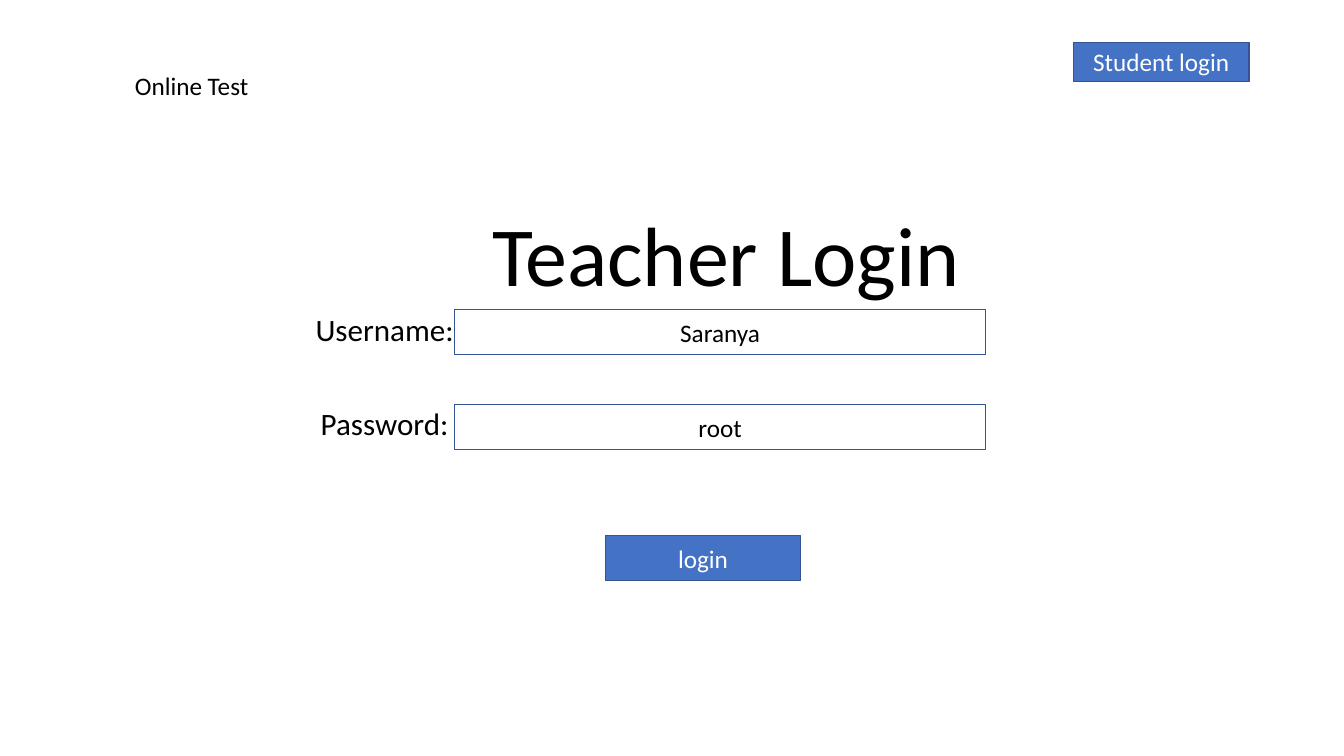
"""Build the teacher login slide of an online test."""
import pptx
import pptx.dml.color
import pptx.enum.shapes
import pptx.enum.text
import pptx.util

Pt = pptx.util.Pt
ALIGN = pptx.enum.text.PP_ALIGN
ANCHOR = pptx.enum.text.MSO_ANCHOR
BLACK = pptx.dml.color.RGBColor(0x00, 0x00, 0x00)
WHITE = pptx.dml.color.RGBColor(0xFF, 0xFF, 0xFF)
BLUE = pptx.dml.color.RGBColor(0x44, 0x72, 0xC4)
NAVY = pptx.dml.color.RGBColor(0x32, 0x54, 0x91)

FIELDS = [("Username:", "Saranya"), ("Password:", "root")]
FIELD_TOP = 221
FIELD_PITCH = 67.9
FIELD_HEIGHT = 32.4


def style(paragraph, size, color, align):
    """Set the font and alignment of one paragraph."""
    paragraph.alignment = align
    paragraph.font.name = "Calibri"
    paragraph.font.size = Pt(size)
    paragraph.font.color.rgb = color


def add_text(slide, box, lines, size, align=ALIGN.LEFT, spacing=1.0):
    """Add a wrapped text box with one paragraph per line and return its frame."""
    frame = slide.shapes.add_textbox(*map(Pt, box)).text_frame
    frame.word_wrap = True
    frame.text = "\n".join(lines)
    for paragraph in frame.paragraphs:
        style(paragraph, size, BLACK, align)
        paragraph.line_spacing = spacing
    return frame


def add_box(slide, box, label, fill, color):
    """Add an outlined rectangle with a centred label."""
    rectangle = slide.shapes.add_shape(
        pptx.enum.shapes.MSO_SHAPE.RECTANGLE, *map(Pt, box))
    rectangle.shadow.inherit = False
    rectangle.fill.solid()
    rectangle.fill.fore_color.rgb = fill
    rectangle.line.color.rgb = NAVY
    rectangle.line.width = Pt(1)
    frame = rectangle.text_frame
    frame.text = label
    frame.vertical_anchor = ANCHOR.MIDDLE
    style(frame.paragraphs[0], 18, color, ALIGN.CENTER)


def add_form(slide):
    """Add the field labels and the boxes beside them."""
    names = [name for name, _ in FIELDS]
    labels = add_text(slide, (186.5, FIELD_TOP, 157, 114), names, 22.2,
                      ALIGN.CENTER, 0.9)
    labels.margin_left = Pt(26.6)
    for paragraph in labels.paragraphs[1:]:
        paragraph.space_before = Pt(43.5)
    for row, (_, value) in enumerate(FIELDS):
        top = FIELD_TOP + row * FIELD_PITCH
        add_box(slide, (324.7, top, 379.4, FIELD_HEIGHT), value, WHITE, BLACK)


def main():
    """Build and save the slide."""
    deck = pptx.Presentation()
    deck.slide_width, deck.slide_height = Pt(960), Pt(540)
    slide = deck.slides.add_slide(deck.slide_layouts[6])

    title = add_text(slide, (42, 30, 669.6, 191), ["Teacher Login"], 60,
                     ALIGN.RIGHT, 0.9)
    title.vertical_anchor = ANCHOR.BOTTOM
    title.margin_right = Pt(26)
    add_form(slide)
    add_text(slide, (89.3, 46.8, 96.5, 29), ["Online Test"], 18)
    add_box(slide, (432.7, 382.3, 139, FIELD_HEIGHT), "login", BLUE, WHITE)
    add_box(slide, (766.8, 30.2, 125.3, 28), "Student login", BLUE, WHITE)
    deck.save("out.pptx")


main()
